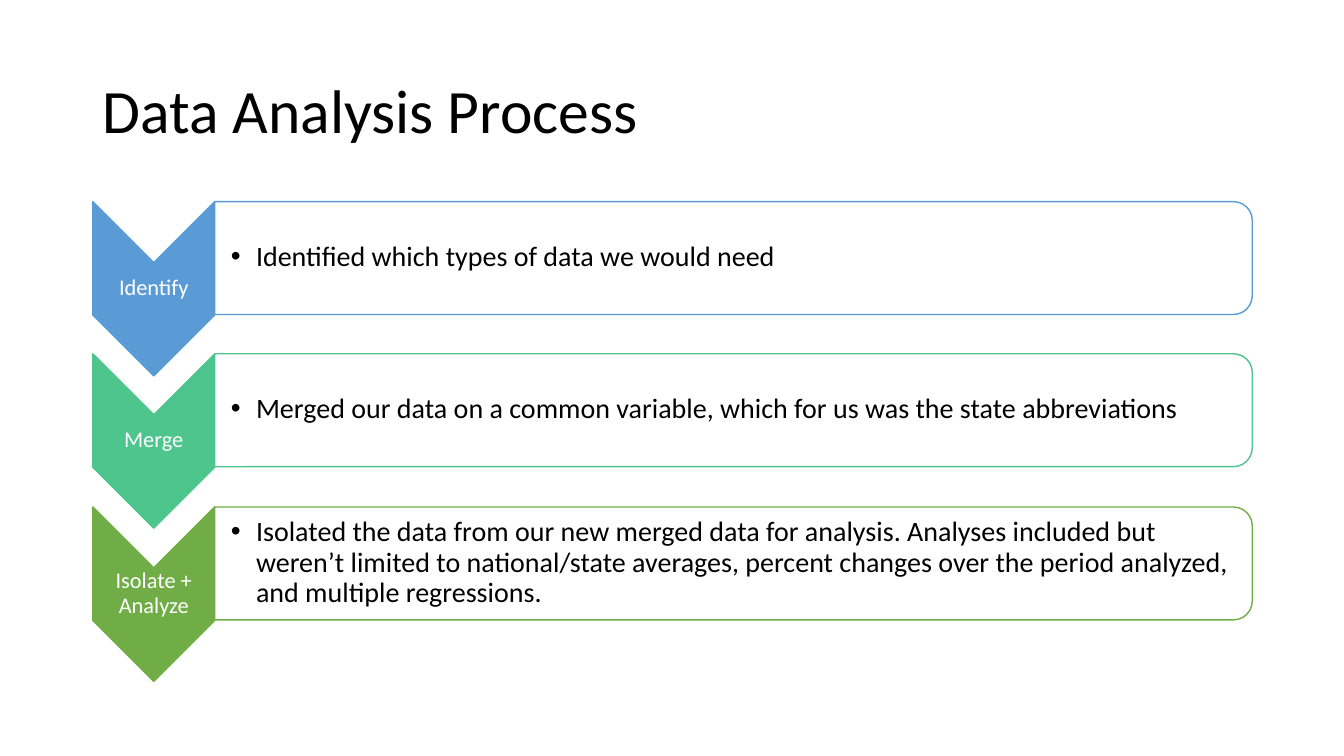
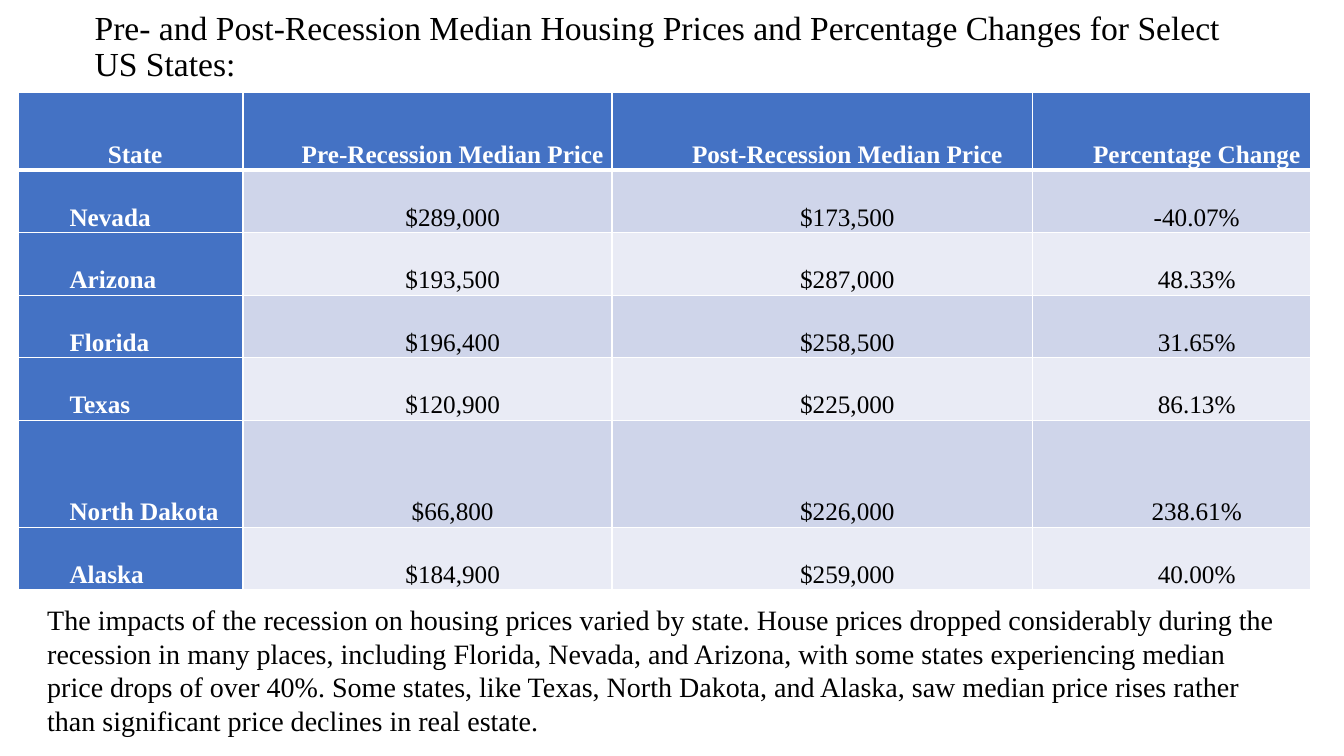
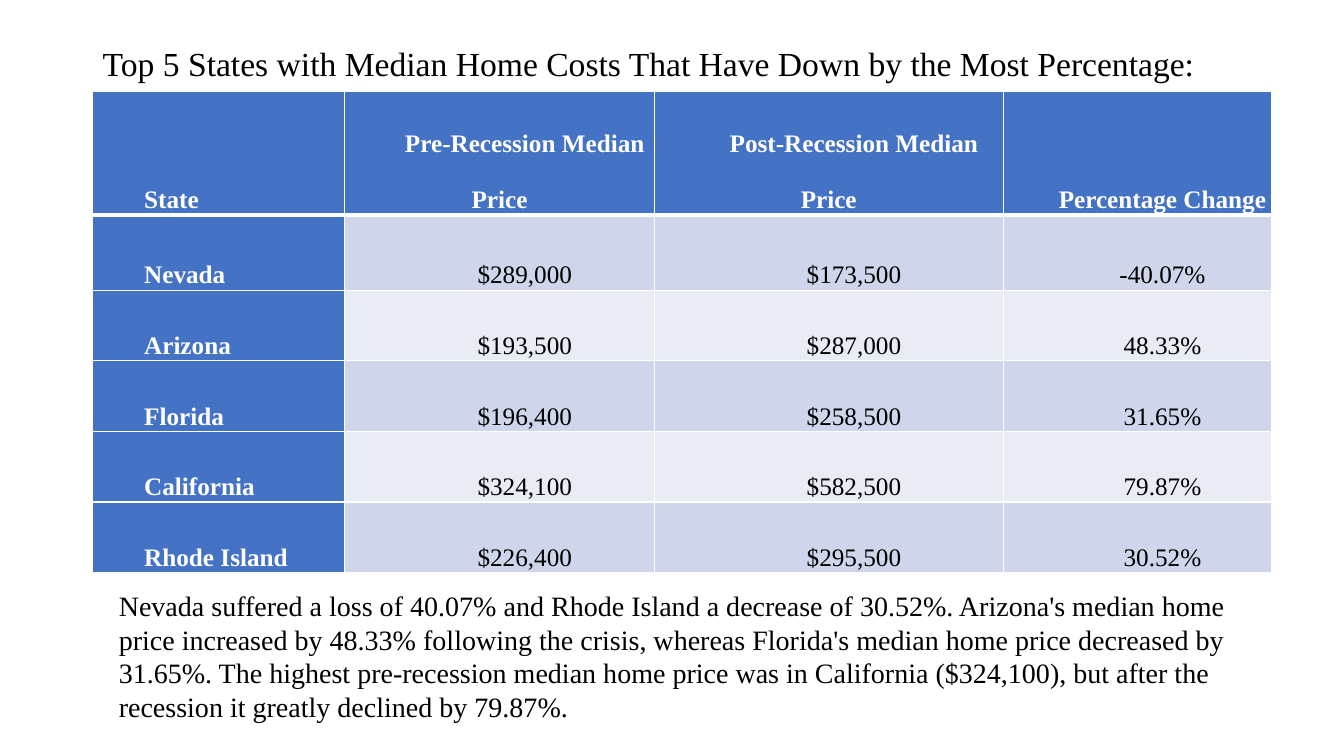
from lxml.etree import SubElement as Sub
from pptx import Presentation
from pptx.dml.color import RGBColor as RGB
from pptx.enum.shapes import MSO_SHAPE as Kind
from pptx.enum.text import MSO_ANCHOR as Anchor, PP_ALIGN as Align
from pptx.oxml.ns import qn
from pptx.util import Emu, Pt

SCALE = 9144  # EMU in one px, 100 px to the inch
WIDE, HIGH = 1333, 750

BLACK = RGB(0, 0, 0)
WHITE = RGB(0xFF, 0xFF, 0xFF)
SKY = RGB(0x5B, 0x9B, 0xD5)
MINT = RGB(0x4D, 0xC5, 0x8D)
LEAF = RGB(0x70, 0xAD, 0x47)
BLUE = RGB(0x44, 0x72, 0xC4)
BANDS = RGB(0xCF, 0xD5, 0xEA), RGB(0xE9, 0xEB, 0xF5)

SANS, SERIF = "Calibri", "Times New Roman"
TIGHT = dict(margin_left=1, margin_top=1, margin_right=1, margin_bottom=1)
LINES = dict(line_spacing=0.9)
LOOSE = dict(line_spacing=2.0, space_before=Pt(24), space_after=Pt(24))

STEPS = [
    ("Identify", SKY, "Identified which types of data we would need"),
    ("Merge", MINT, "Merged our data on a common variable, which for us was "
     "the state abbreviations"),
    ("Isolate + Analyze", LEAF, "Isolated the data from our new merged data "
     "for analysis. Analyses included but weren’t limited to national/state "
     "averages, percent changes over the period analyzed, and multiple "
     "regressions."),
]
HEAD = ("State", "Pre-Recession Median Price", "Post-Recession Median Price",
        "Percentage Change")
NEVADA = ("Nevada", "$289,000", "$173,500", "-40.07%")
ARIZONA = ("Arizona", "$193,500", "$287,000", "48.33%")
FLORIDA = ("Florida", "$196,400", "$258,500", "31.65%")


def px(num):
    return Emu(round(num * SCALE))


def put(obj, form):
    for name, value in form.items():
        setattr(obj, name, px(value) if name.startswith("margin") else value)


def write(frame, text, size, face, color=BLACK, bold=False, **form):
    """Fill the first paragraph of a frame and return it."""
    para = frame.paragraphs[0]
    put(para, form)
    run = para.add_run()
    run.text = text
    put(run.font, dict(size=Pt(size), name=face, bold=bold))
    run.font.color.rgb = color
    return para


def indent(para, left, first):
    props = para._p.get_or_add_pPr()
    props.set("marL", str(px(left)))
    props.set("indent", str(px(first)))
    return props


def frame(slide, box, **form):
    """Add a wrapping text box and return its text frame."""
    area = slide.shapes.add_textbox(*map(px, box)).text_frame
    put(area, dict(word_wrap=True, **form))
    return area


def title(slide, box, text, size, face):
    area = frame(slide, box, vertical_anchor=Anchor.MIDDLE)
    write(area, text, size, face, **LINES)


def turned(slide, kind, box, fill, line):
    """Add a shape turned a quarter right that covers the box."""
    x, y, w, h = box
    spot = x + (w - h) / 2, y + (h - w) / 2, h, w
    shape = slide.shapes.add_shape(kind, *map(px, spot))
    shape.rotation = 90
    shape.shadow.inherit = False
    shape.fill.solid()
    shape.fill.fore_color.rgb = fill
    shape.line.color.rgb = line
    shape.line.width = Pt(1)


def step(slide, box, label, color, text):
    x, y, w, h = box
    tip = 121
    mid = dict(TIGHT, vertical_anchor=Anchor.MIDDLE)
    turned(slide, Kind.CHEVRON, (x, y, tip, h), color, color)
    area = frame(slide, (x, y + 60, tip, 52), **mid)
    write(area, label, 16, SANS, WHITE, alignment=Align.CENTER, **LINES)
    turned(slide, Kind.ROUND_2_SAME_RECTANGLE,
           (x + tip, y, w - tip, 112), WHITE, color)
    area = frame(slide, (x + tip, y + 5, w - tip - 5, 101),
                 **dict(mid, margin_left=16))
    props = indent(write(area, text, 20, SANS, **LINES), 25, -25)
    Sub(props, qn("a:buFont"), typeface="Arial")
    Sub(props, qn("a:buChar"), char="•")


def edge(cell, row):
    """Draw white borders, thick between the head and the body."""
    props = cell._tc.get_or_add_tcPr()
    for place, (side, thick) in enumerate(
            [("L", 0), ("R", 0), ("T", row == 1), ("B", row == 0)]):
        line = props.makeelement(qn("a:ln" + side),
                                 {"w": str(Pt(3 if thick else 1))})
        fill = Sub(line, qn("a:solidFill"))
        Sub(fill, qn("a:srgbClr"), val=str(WHITE))
        props.insert(place, line)


def grid(slide, spot, cols, rows, data, first):
    """Add a price table; first is the indent of its top left cell."""
    size = sum(cols), sum(rows)
    table = slide.shapes.add_table(
        len(rows), len(cols), *map(px, spot + size)).table
    table.first_col = True
    for col, wide in zip(table.columns, cols):
        col.width = px(wide)
    for row, high in zip(table.rows, rows):
        row.height = px(high)
    for r, line in enumerate(data):
        for c, text in enumerate(line):
            cell = table.cell(r, c)
            put(cell, dict(TIGHT, vertical_anchor=Anchor.BOTTOM))
            dark = r == 0 or c == 0
            cell.fill.solid()
            cell.fill.fore_color.rgb = BLUE if dark else BANDS[(r - 1) % 2]
            edge(cell, r)
            para = write(cell.text_frame, text, 18, SERIF,
                         WHITE if dark else BLACK, dark,
                         alignment=Align.CENTER if c else Align.LEFT, **LOOSE)
            indent(para, 0, 50 if r or c else first)


def process(slide):
    title(slide, (92, 40, 1150, 145), "Data Analysis Process", 44, SANS)
    for num, parts in enumerate(STEPS):
        step(slide, (92, 200 + num * 303 // 2, 1150, 173), *parts)


def prices(slide, top, text, table, box, note):
    title(slide, top, text, 24, SERIF)
    grid(slide, **table)
    write(frame(slide, box), note, 20, SERIF)


def main():
    deck = Presentation()
    deck.slide_width, deck.slide_height = px(WIDE), px(HIGH)
    blank = deck.slide_layouts[6]
    process(deck.slides.add_slide(blank))
    prices(
        deck.slides.add_slide(blank), (84, 17, 1150, 61),
        "Pre- and Post-Recession Median Housing Prices and Percentage "
        "Changes for Select US States:",
        dict(spot=(18, 92), cols=(223, 366, 417, 276),
             rows=(77, 60, 60, 60, 60, 106, 60), first=88,
             data=[HEAD, NEVADA, ARIZONA, FLORIDA,
                   ("Texas", "$120,900", "$225,000", "86.13%"),
                   ("North Dakota", "$66,800", "$226,000", "238.61%"),
                   ("Alaska", "$184,900", "$259,000", "40.00%")]),
        (37, 593, 1244, 145),
        "The impacts of the recession on housing prices varied by state. "
        "House prices dropped considerably during the recession in many "
        "places, including Florida, Nevada, and Arizona, with some states "
        "experiencing median price drops of over 40%. Some states, like "
        "Texas, North Dakota, and Alaska, saw median price rises rather than "
        "significant price declines in real estate.")
    prices(
        deck.slides.add_slide(blank), (92, 40, 1150, 51),
        "Top 5 States with Median Home Costs That Have Down by the Most "
        "Percentage:",
        dict(spot=(92, 91), cols=(250, 307, 346, 266),
             rows=(111, 75, 70, 70, 70, 70), first=50,
             data=[HEAD, NEVADA, ARIZONA, FLORIDA,
                   ("California", "$324,100", "$582,500", "79.87%"),
                   ("Rhode Island", "$226,400", "$295,500", "30.52%")]),
        (108, 579, 1124, 145),
        "Nevada suffered a loss of 40.07% and Rhode Island a decrease of "
        "30.52%. Arizona's median home price increased by 48.33% following "
        "the crisis, whereas Florida's median home price decreased by "
        "31.65%. The highest pre-recession median home price was in "
        "California ($324,100), but after the recession it greatly declined "
        "by 79.87%.")
    deck.save("out.pptx")


if __name__ == "__main__":
    main()
